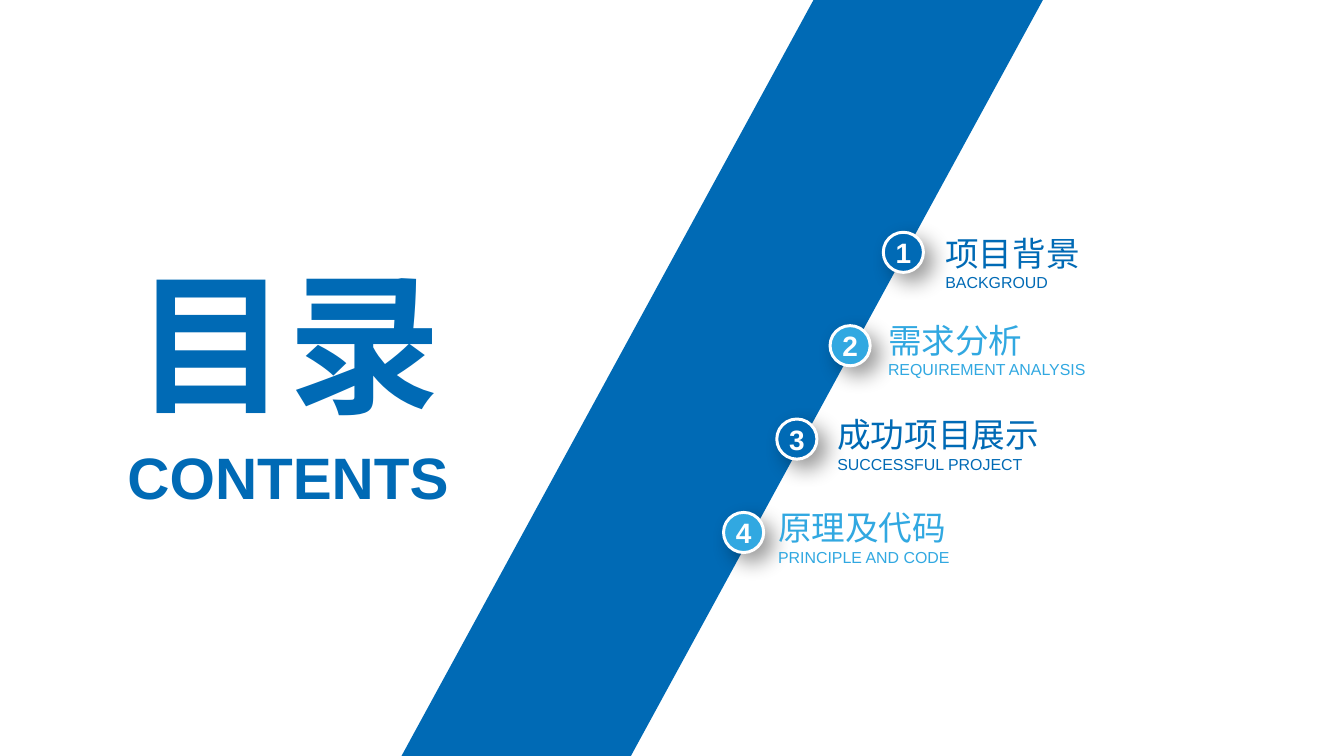
from lxml.etree import SubElement
from pptx import Presentation
from pptx.dml.color import RGBColor
from pptx.enum.shapes import MSO_SHAPE
from pptx.enum.text import MSO_ANCHOR, MSO_AUTO_SIZE, PP_ALIGN
from pptx.oxml.ns import qn
from pptx.util import Inches, Pt

BLUE, SKY, WHITE = "006AB5", "31A8E1", "FFFFFF"
WIDTH, HEIGHT = 14.06, 7.91


def color(value):
    return RGBColor.from_string(value)


def write(box, lines, tint, bold, align, anchor=MSO_ANCHOR.MIDDLE):
    frame = box.text_frame
    frame.word_wrap = True
    frame.vertical_anchor = anchor
    frame.margin_left = frame.margin_right = 0
    frame.margin_top = frame.margin_bottom = 0
    for index, (text, size) in enumerate(lines):
        para = frame.add_paragraph() if index else frame.paragraphs[0]
        para.alignment = align
        span = para.add_run()
        span.text = text
        span.font.name = "Arial"
        span.font.size = Pt(size)
        span.font.bold = bold
        span.font.color.rgb = color(tint)


deck = Presentation()
deck.slide_width, deck.slide_height = Inches(WIDTH), Inches(HEIGHT)
page = deck.slides.add_slide(deck.slide_layouts[6])

headings = [
    ("目录", 115, (1.33, 2.59, 3.37, 1.94), MSO_ANCHOR.MIDDLE),
    ("CONTENTS", 44, (1.21, 4.62, 3.61, 0.74), MSO_ANCHOR.TOP),
]
for text, size, place, anchor in headings:
    box = page.shapes.add_textbox(*map(Inches, place))
    write(box, [(text, size)], BLUE, True, PP_ALIGN.CENTER, anchor)
    box.text_frame.auto_size = MSO_AUTO_SIZE.SHAPE_TO_FIT_TEXT

corners = [(10.91, 0), (8.51, 0), (4.2, HEIGHT), (6.6, HEIGHT)]
outline = [(Inches(x), Inches(y)) for x, y in corners]
builder = page.shapes.build_freeform(*outline[0])
builder.add_line_segments(outline[1:], close=True)
band = builder.convert_to_shape()
band.shadow.inherit = False
band.fill.solid()
band.fill.fore_color.rgb = color(BLUE)
band.line.fill.background()

BADGE, STEP_LEFT, STEP_DOWN = 0.42, 0.557, 0.977
LABEL_WIDTH, LABEL_HEIGHT = 2.46, 0.63
topics = [
    ("项目背景", "BACKGROUD", 9.89, 2.43),
    ("需求分析", "REQUIREMENT ANALYSIS", 9.29, 3.34),
    ("成功项目展示", "SUCCESSFUL PROJECT", 8.76, 4.33),
    ("原理及代码", "PRINCIPLE AND CODE", 8.14, 5.3),
]
for row, (title, subtitle, left, top) in enumerate(topics):
    tint = SKY if row % 2 else BLUE
    badge = page.shapes.add_shape(
        MSO_SHAPE.OVAL,
        Inches(9.24 - row * STEP_LEFT), Inches(2.43 + row * STEP_DOWN),
        Inches(BADGE), Inches(BADGE))
    badge.fill.solid()
    badge.fill.fore_color.rgb = color(tint)
    badge.line.color.rgb = color(WHITE)
    badge.line.width = Pt(2.25)
    badge.shadow.inherit = False
    effects = badge.element.spPr.find(qn("a:effectLst"))
    shadow = SubElement(effects, qn("a:outerShdw"), blurRad=str(Pt(16)),
                        dist=str(Pt(9)), dir="2700000", algn="tl", rotWithShape="0")
    shade = SubElement(shadow, qn("a:srgbClr"), val="000000")
    SubElement(shade, qn("a:alpha"), val="40000")
    write(badge, [(str(row + 1), 21.1)], WHITE, True, PP_ALIGN.CENTER)

    label = page.shapes.add_textbox(
        Inches(left), Inches(top), Inches(LABEL_WIDTH), Inches(LABEL_HEIGHT))
    write(label, [(title, 25.3), (subtitle, 12)], tint, False, PP_ALIGN.LEFT)

deck.save("out.pptx")
